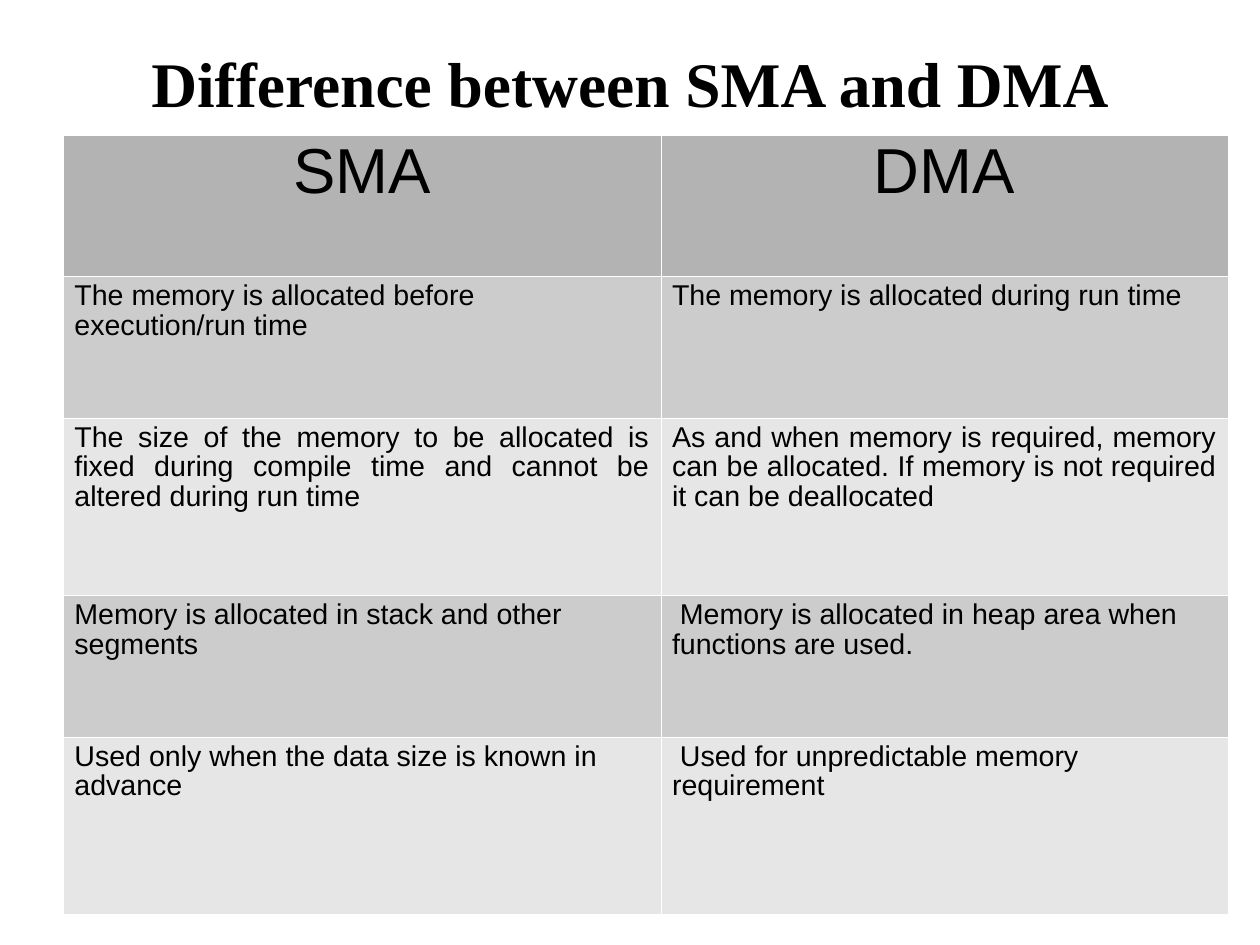
import pptx
import pptx.dml.color
import pptx.enum.text
import pptx.oxml
import pptx.oxml.ns
import pptx.util

Cm = pptx.util.Cm
Align = pptx.enum.text.PP_ALIGN

HEADER = ("SMA", "DMA")
COMPARISON = [
    ("The memory is allocated before execution/run time",
     "The memory is allocated during run time"),
    ("The size of the memory to be allocated is fixed during compile time "
     "and cannot be altered during run time",
     "As and when memory is required, memory can be allocated. "
     "If memory is not required it can be deallocated"),
    ("Memory is allocated in stack and other segments",
     " Memory is allocated in heap area when functions are used."),
    ("Used only when the data size is known in advance",
     " Used for unpredictable memory requirement"),
]
JUSTIFIED_ROW = 2
COLUMN_WIDTHS = (13.28, 12.6)
ROW_HEIGHTS = (3.14, 3.14, 3.95, 3.14, 3.95)
HEADER_FILL = "B3B3B3"
BAND_FILLS = ("E6E6E6", "CCCCCC")


def color(value):
    return pptx.dml.color.RGBColor.from_string(value)


def write(frame, text, size=18, font="Arial", bold=False, align=Align.LEFT):
    para = frame.paragraphs[0]
    para.alignment = align
    para.line_spacing = 0.93
    span = para.add_run()
    span.text = text
    span.font.size = pptx.util.Pt(size)
    span.font.name = font
    span.font.bold = bold
    span.font.color.rgb = color("000000")


def add_borders(cell, value="FFFFFF", width=0.06):
    """Draw all four sides; the lines must precede the fill in the XML."""
    properties = cell._tc.get_or_add_tcPr()
    for position, side in enumerate(("lnL", "lnR", "lnT", "lnB")):
        properties.insert(position, pptx.oxml.parse_xml(
            f'<a:{side} {pptx.oxml.ns.nsdecls("a")} w="{pptx.util.Pt(width)}">'
            f'<a:solidFill><a:srgbClr val="{value}"/></a:solidFill></a:{side}>'))


def place_title(page, left, top, width, height):
    title = page.shapes.title
    title.left, title.top, title.width, title.height = map(Cm, (left, top, width, height))
    frame = title.text_frame
    frame.auto_size = pptx.enum.text.MSO_AUTO_SIZE.NONE
    frame.vertical_anchor = pptx.enum.text.MSO_ANCHOR.TOP
    frame.margin_left = frame.margin_right = frame.margin_bottom = 0
    frame.margin_top = Cm(0.29)
    write(frame, "Difference between SMA and DMA", size=40,
          font="Times New Roman", bold=True, align=Align.CENTER)


def place_comparison(page, left, top):
    rows = [HEADER, *COMPARISON]
    table = page.shapes.add_table(
        len(rows), len(HEADER), Cm(left), Cm(top),
        Cm(sum(COLUMN_WIDTHS)), Cm(sum(ROW_HEIGHTS))).table
    for column, width in zip(table.columns, COLUMN_WIDTHS):
        column.width = Cm(width)
    for row, height in zip(table.rows, ROW_HEIGHTS):
        row.height = Cm(height)
    for number, texts in enumerate(rows):
        is_header = number == 0
        fill = HEADER_FILL if is_header else BAND_FILLS[number % 2]
        align = (Align.CENTER if is_header
                 else Align.JUSTIFY if number == JUSTIFIED_ROW else Align.LEFT)
        for column, text in enumerate(texts):
            cell = table.cell(number, column)
            cell.fill.solid()
            cell.fill.fore_color.rgb = color(fill)
            add_borders(cell)
            write(cell.text_frame, text, size=40 if is_header else 18, align=align)


def main():
    deck = pptx.Presentation()
    deck.slide_width, deck.slide_height = Cm(28), Cm(21)
    page = deck.slides.add_slide(deck.slide_layouts[5])
    place_title(page, 1.4, 0.84, 25.2, 3.5)
    place_comparison(page, 1.4, 3)
    deck.save("out.pptx")


if __name__ == "__main__":
    main()
